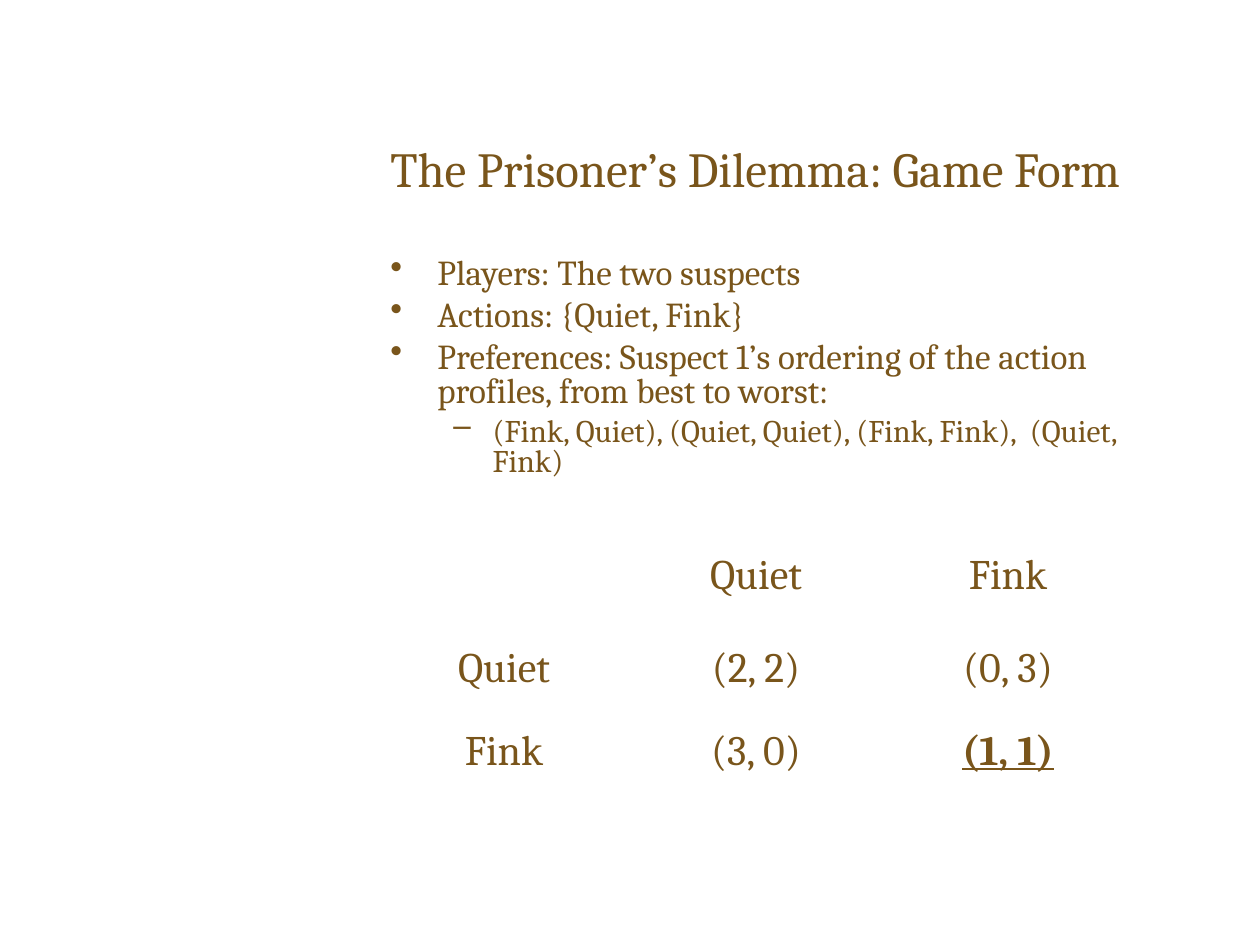
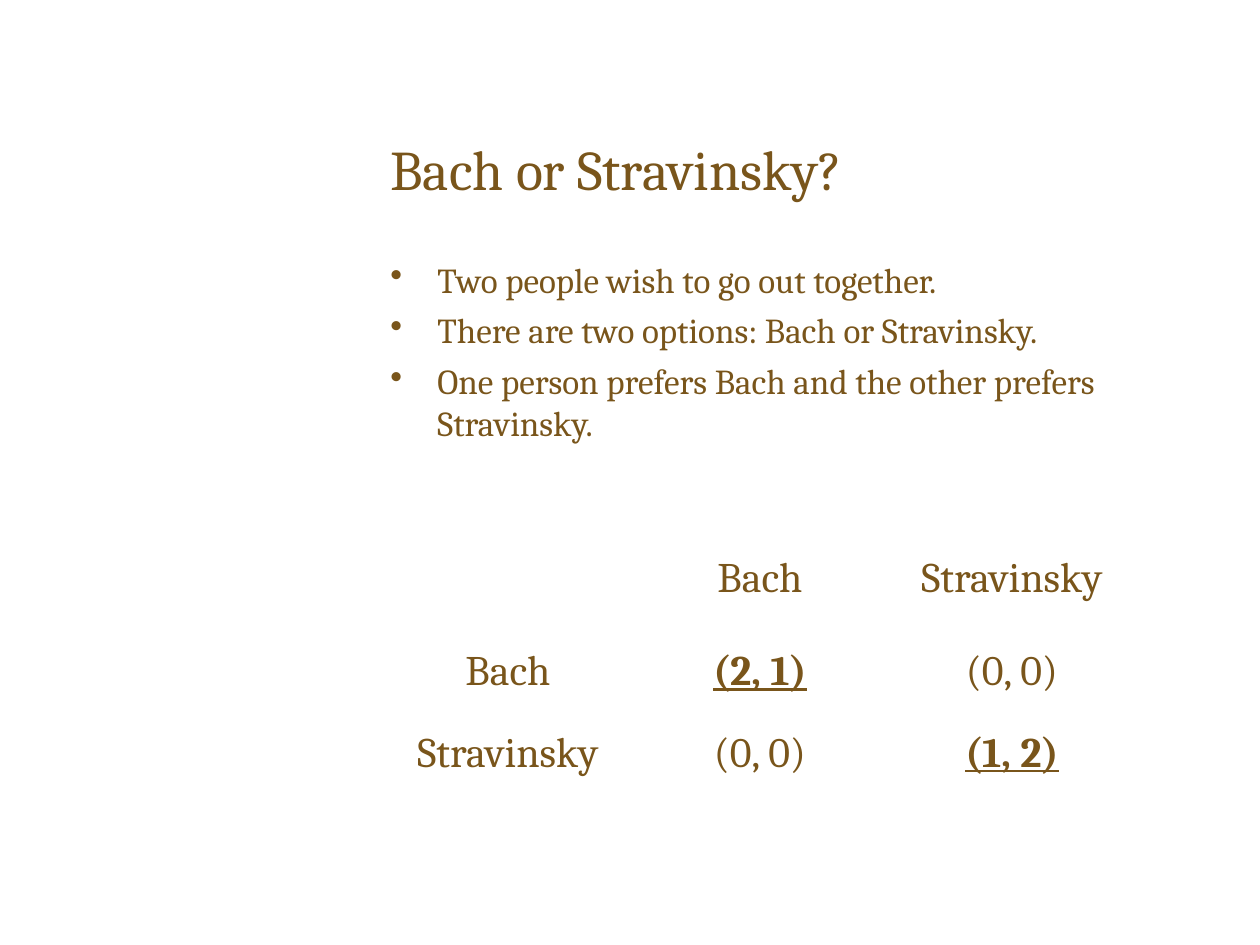
from lxml.etree import SubElement
from pptx import Presentation
from pptx.dml.color import RGBColor
from pptx.enum.text import MSO_ANCHOR, PP_ALIGN
from pptx.oxml import parse_xml
from pptx.oxml.ns import nsdecls, qn
from pptx.util import Cm, Pt

BROWN = "79551B"
WHITE = "FFFFFF"
FONT = "Cambria"
LEFT, WIDTH = Cm(7.62), Cm(15.24)
LEVELS = [
    {"bullet": "•", "size": 20, "before": 5, "margin": Cm(0.95), "indent": Cm(-0.95)},
    {"bullet": "–", "size": 18, "before": 4.5, "margin": Cm(2.06), "indent": Cm(-0.79)},
]

games = [
    {
        "title": "The Prisoner’s Dilemma: Game Form",
        "title_size": 28,
        "line_spacing": 0.8,
        "points": [
            (0, "Players: The two suspects"),
            (0, "Actions: {Quiet, Fink}"),
            (0, "Preferences: Suspect 1’s ordering of the action profiles, from best to worst:"),
            (1, "(Fink, Quiet), (Quiet, Quiet), (Fink, Fink),  (Quiet, Fink)"),
        ],
        "table_left": 7.62,
        "table_top": 10.69,
        "row_heights": [1.85, 1.9, 1.42],
        "payoffs": [
            ["", "Quiet", "Fink"],
            ["Quiet", "(2, 2)", "(0, 3)"],
            ["Fink", "(3, 0)", "(1, 1)"],
        ],
        "equilibria": [(2, 2)],
    },
    {
        "title": "Bach or Stravinsky?",
        "title_size": 32,
        "line_spacing": 1.0,
        "points": [
            (0, "Two people wish to go out together."),
            (0, "There are two options: Bach or Stravinsky."),
            (0, "One person prefers Bach and the other prefers Stravinsky."),
        ],
        "table_left": 7.7,
        "table_top": 10.72,
        "row_heights": [1.88, 1.88, 1.42],
        "payoffs": [
            ["", "Bach", "Stravinsky"],
            ["Bach", "(2, 1)", "(0, 0)"],
            ["Stravinsky", "(0, 0)", "(1, 2)"],
        ],
        "equilibria": [(1, 1), (2, 2)],
    },
]


def color(value):
    return RGBColor.from_string(value)


def add_run(paragraph, text, size, emphasis=False):
    run = paragraph.add_run()
    run.text = text
    run.font.name = FONT
    run.font.size = Pt(size)
    run.font.color.rgb = color(BROWN)
    run.font.bold = emphasis
    run.font.underline = emphasis


presentation = Presentation()
presentation.slide_width = Cm(25.4)
presentation.slide_height = Cm(19.05)

for game in games:
    slide = presentation.slides.add_slide(presentation.slide_layouts[6])

    title_frame = slide.shapes.add_textbox(LEFT, Cm(2.11), WIDTH, Cm(2.54)).text_frame
    title_frame.word_wrap = True
    title_frame.vertical_anchor = MSO_ANCHOR.MIDDLE
    add_run(title_frame.paragraphs[0], game["title"], game["title_size"])

    body_frame = slide.shapes.add_textbox(LEFT, Cm(5.08), WIDTH, Cm(5.18)).text_frame
    body_frame.word_wrap = True
    for number, (level, text) in enumerate(game["points"]):
        paragraph = body_frame.add_paragraph() if number else body_frame.paragraphs[0]
        style = LEVELS[level]
        paragraph.level = level
        paragraph.line_spacing = game["line_spacing"]
        paragraph.space_before = Pt(style["before"])
        properties = paragraph._p.get_or_add_pPr()
        properties.set("marL", str(style["margin"]))
        properties.set("indent", str(style["indent"]))
        bullet_color = SubElement(properties, qn("a:buClr"))
        SubElement(bullet_color, qn("a:srgbClr"), val=BROWN)
        SubElement(properties, qn("a:buChar"), char=style["bullet"])
        add_run(paragraph, text, style["size"])

    table = slide.shapes.add_table(
        3, 3, Cm(game["table_left"]), Cm(game["table_top"]), WIDTH, Cm(sum(game["row_heights"]))
    ).table
    table.first_row = False
    table.horz_banding = False
    for column in table.columns:
        column.width = Cm(5.08)
    for row, height in zip(table.rows, game["row_heights"]):
        row.height = Cm(height)

    for row_index, labels in enumerate(game["payoffs"]):
        for column_index, label in enumerate(labels):
            cell = table.cell(row_index, column_index)
            cell.fill.background()
            cell.vertical_anchor = MSO_ANCHOR.MIDDLE
            outer_sides = {
                "lnL": column_index == 0,
                "lnR": column_index == 2,
                "lnT": row_index == 0,
                "lnB": row_index == 2,
            }
            for position, (side, is_outer) in enumerate(outer_sides.items()):
                line_width = Pt(1.08 if is_outer else 0.45)
                border = parse_xml(
                    f'<a:{side} {nsdecls("a")} w="{line_width}"><a:solidFill>'
                    f'<a:srgbClr val="{WHITE}"/></a:solidFill></a:{side}>'
                )
                cell._tc.get_or_add_tcPr().insert(position, border)
            if label:
                paragraph = cell.text_frame.paragraphs[0]
                paragraph.alignment = PP_ALIGN.CENTER
                paragraph.space_before = Pt(6)
                add_run(paragraph, label, 24, (row_index, column_index) in game["equilibria"])

presentation.save("out.pptx")
